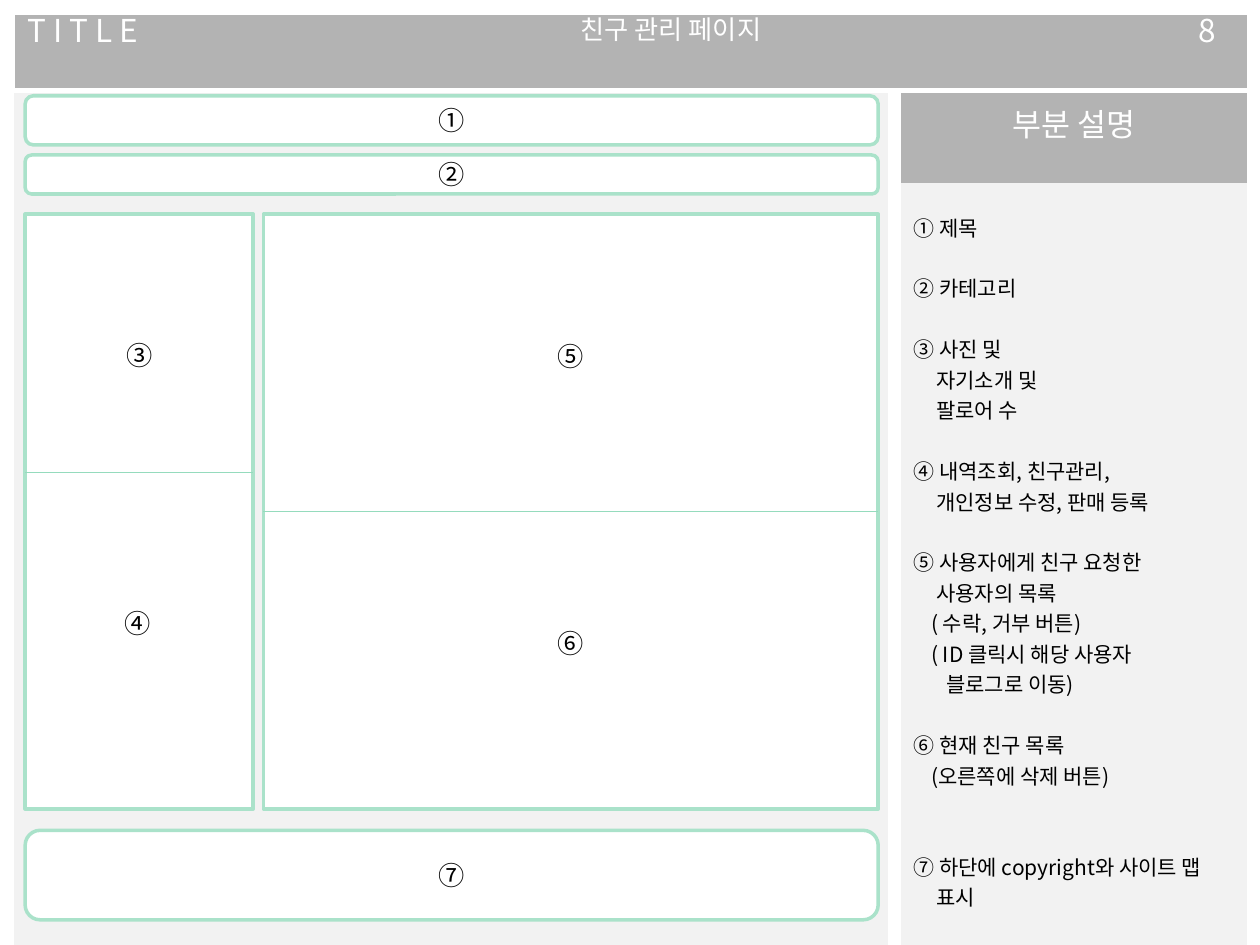
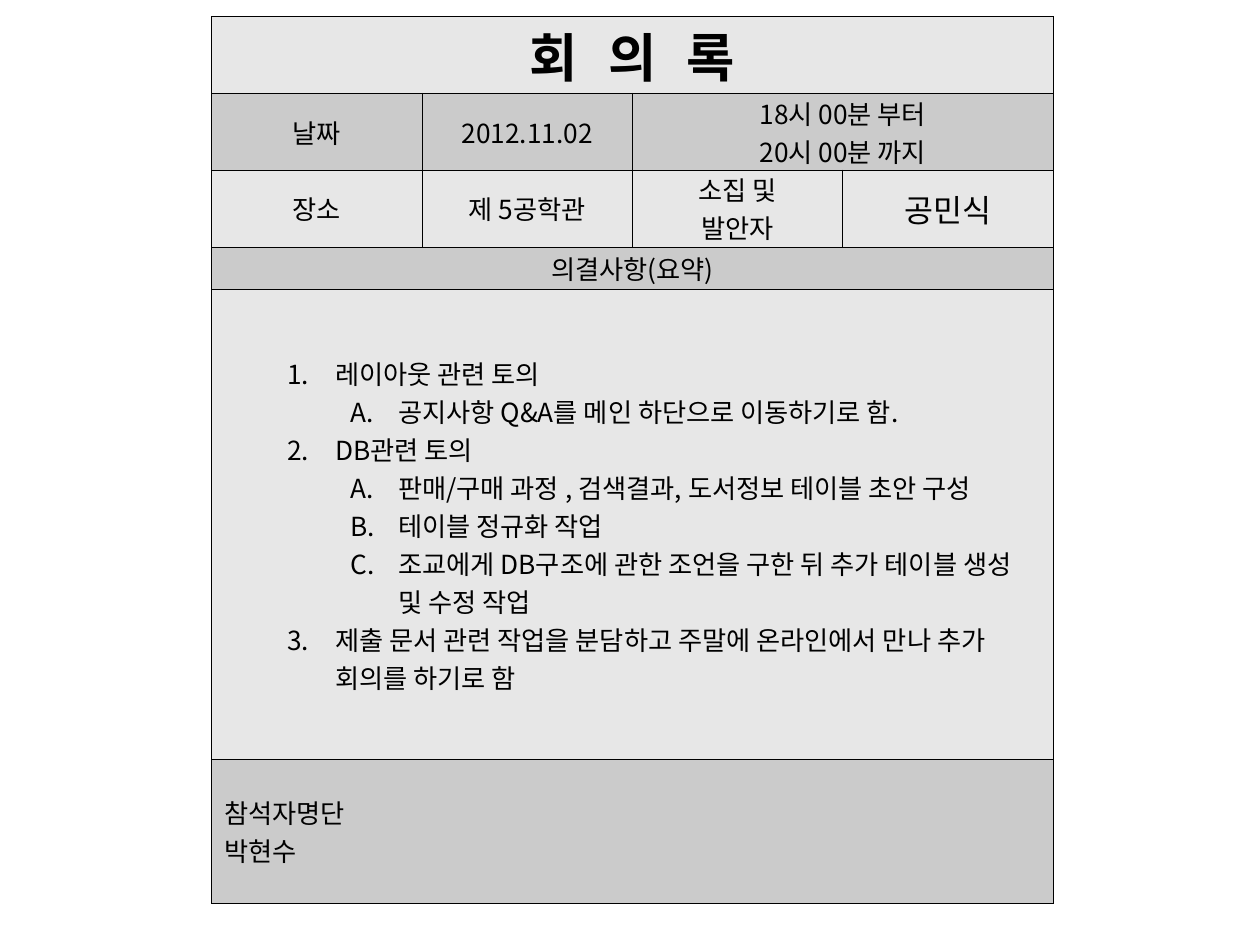
from lxml import etree
from pptx import Presentation
from pptx import util as u
from pptx.dml.color import RGBColor
from pptx.enum import shapes, text
from pptx.oxml import ns

FONT = "Noto Sans CJK KR"
WHITE = RGBColor(255, 255, 255)
BLACK = RGBColor(0, 0, 0)
BAND = RGBColor(0xB3, 0xB3, 0xB3)
PALE = RGBColor(0xF2, 0xF2, 0xF2)
MINT = RGBColor(0xAA, 0xE2, 0xCA)
RULE = RGBColor(0x95, 0xDB, 0xBD)
LIGHT = RGBColor(0xE7, 0xE7, 0xE7)
DARK = RGBColor(0xCB, 0xCB, 0xCB)
LEFT, MID = text.PP_ALIGN.LEFT, text.PP_ALIGN.CENTER


def write(frame, words, size=15, color=BLACK, bold=False, align=MID, lead=None, track=0):
    frame.word_wrap = True
    for i, line in enumerate(words.split("\n")):
        para = frame.paragraphs[0] if i == 0 else frame.add_paragraph()
        para.alignment = align
        if lead:
            para.line_spacing = lead
        run = para.add_run()
        run.text = line
        font = run.font
        font.name, font.size, font.bold = FONT, u.Pt(size), bold
        font.color.rgb = color
        props = run._r.get_or_add_rPr()
        etree.SubElement(props, ns.qn("a:ea")).set("typeface", FONT)
        if track:
            props.set("spc", str(track))


def grid(slide, left, top, cols, rows, fills, edge=None):
    table = slide.shapes.add_table(
        len(rows), len(cols), u.Inches(left), u.Inches(top),
        u.Inches(sum(cols)), u.Inches(sum(rows))).table
    table.first_row = table.horz_banding = False
    for col, wide in zip(table.columns, cols):
        col.width = u.Inches(wide)
    for row, tall, fill in zip(table.rows, rows, fills):
        row.height = u.Inches(tall)
        for cell in row.cells:
            cell.fill.solid()
            cell.fill.fore_color.rgb = fill
            props = cell._tc.get_or_add_tcPr()
            for i, side in enumerate("LRTB"):
                line = etree.Element(ns.qn("a:ln" + side))
                if edge:
                    line.set("w", str(u.Pt(0.45)))
                    paint = etree.SubElement(line, ns.qn("a:solidFill"))
                    etree.SubElement(paint, ns.qn("a:srgbClr")).set("val", str(edge))
                else:
                    etree.SubElement(line, ns.qn("a:noFill"))
                props.insert(i, line)
    return table


deck = Presentation()
deck.slide_width, deck.slide_height = u.Inches(10), u.Inches(7.5)
blank = deck.slide_layouts[6]

page = deck.slides.add_slide(blank)
head = grid(page, 0.12, 0.12, [1.26, 7.89, 0.63], [0.58], [BAND])
for i, (words, size, align) in enumerate([
        ("T I T L E", 18, LEFT), ("친구 관리 페이지", 15, MID), ("8", 18, MID)]):
    write(head.cell(0, i).text_frame, words, size=size, color=WHITE, align=align, lead=0.58)

side = grid(page, 7.15, 0.74, [2.75], [0.71, 6.29], [BAND, PALE])
write(side.cell(0, 0).text_frame, "부분 설명", size=18, color=WHITE)
notes = [
    (0, 0, "① 제목"),
    (1, 0, "② 카테고리"),
    (1, 0, "③ 사진 및"),
    (0, 0.18, "자기소개 및"),
    (0, 0.18, "팔로어 수"),
    (1, 0, "④ 내역조회, 친구관리,"),
    (0, 0.18, "개인정보 수정, 판매 등록"),
    (1, 0, "⑤ 사용자에게 친구 요청한"),
    (0, 0.18, "사용자의 목록"),
    (0, 0.14, "( 수락, 거부 버튼)"),
    (0, 0.14, "( ID 클릭시 해당 사용자"),
    (0, 0.26, "블로그로 이동)"),
    (1, 0, "⑥ 현재 친구 목록"),
    (0, 0.14, "(오른쪽에 삭제 버튼)"),
    (2, 0, "⑦ 하단에 copyright와 사이트 맵"),
    (0, 0.18, "표시"),
]
cell = side.cell(1, 0)
cell.margin_top = u.Inches(0.23)
write(cell.text_frame, "\n".join(note[2] for note in notes), size=12, align=LEFT)
for para, (gap, dent, _) in zip(cell.text_frame.paragraphs, notes):
    para.space_before = u.Pt(17.4 * gap)
    para._p.get_or_add_pPr().set("marL", str(u.Inches(dent)))

grid(page, 0.11, 0.74, [6.94], [6.79], [PALE])
ROUND, RECT = shapes.MSO_SHAPE.ROUNDED_RECTANGLE, shapes.MSO_SHAPE.RECTANGLE
for kind, left, top, wide, tall, mark in [
        (ROUND, 0.2, 0.76, 6.77, 0.39, "①"),
        (ROUND, 0.2, 1.23, 6.77, 0.31, "②"),
        (ROUND, 0.2, 6.59, 6.77, 0.71, "⑦"),
        (RECT, 0.2, 1.7, 1.81, 4.72, "③"),
        (RECT, 2.09, 1.7, 4.88, 4.72, "")]:
    box = page.shapes.add_shape(
        kind, u.Inches(left), u.Inches(top), u.Inches(wide), u.Inches(tall))
    box.shadow.inherit = False
    box.fill.solid()
    box.fill.fore_color.rgb = WHITE
    box.line.color.rgb = MINT
    box.line.width = u.Pt(2)
    if mark:
        write(box.text_frame, mark)
        box.text_frame.vertical_anchor = text.MSO_ANCHOR.MIDDLE
    if mark == "③":
        box.text_frame.vertical_anchor = text.MSO_ANCHOR.TOP
        box.text_frame.margin_top = u.Inches(0.99)

for left, right, y in [(0.2, 2.01, 3.75), (2.09, 6.97, 4.06)]:
    rule = page.shapes.add_connector(
        shapes.MSO_CONNECTOR.STRAIGHT,
        u.Inches(left), u.Inches(y), u.Inches(right), u.Inches(y))
    rule.line.color.rgb = RULE
    rule.line.width = u.Pt(1)
    etree.SubElement(rule._element.spPr, ns.qn("a:effectLst"))
rule.begin_connect(box, 1)
rule.end_connect(box, 3)

for mark, left, top, wide in [
        ("④", 0.74, 4.77, 0.71), ("⑤", 4.1, 2.65, 0.86), ("⑥", 4.1, 4.93, 0.86)]:
    label = page.shapes.add_textbox(
        u.Inches(left), u.Inches(top), u.Inches(wide), u.Inches(0.35))
    write(label.text_frame, mark)

page = deck.slides.add_slide(blank)
log = grid(page, 1.68, 0.13, [1.67] * 4, [0.61, 0.61, 0.61, 0.34, 3.73, 1.14],
           [LIGHT, DARK] * 3, edge=BLACK)
for row, first in [(0, 0), (1, 2), (3, 0), (4, 0), (5, 0)]:
    log.cell(row, first).merge(log.cell(row, 3))
for row in range(6):
    for col in range(4):
        cell = log.cell(row, col)
        cell.vertical_anchor = text.MSO_ANCHOR.MIDDLE
        if row < 4:
            cell.margin_top = cell.margin_bottom = 0

write(log.cell(0, 0).text_frame, "회 의 록", size=30, bold=True, track=520)
for row, col, words, size in [
        (1, 0, "날짜", 15), (1, 1, "2012.11.02", 15),
        (1, 2, "18시 00분 부터\n20시 00분 까지", 15),
        (2, 0, "장소", 15), (2, 1, "제 5공학관", 15),
        (2, 2, "소집 및\n발안자", 15), (2, 3, "공민식", 18),
        (3, 0, "의결사항(요약)", 15)]:
    write(log.cell(row, col).text_frame, words, size=size)

points = [
    (1, "레이아웃 관련 토의"),
    (2, "공지사항 Q&A를 메인 하단으로 이동하기로 함."),
    (1, "DB관련 토의"),
    (2, "판매/구매 과정 , 검색결과, 도서정보 테이블 초안 구성"),
    (2, "테이블 정규화 작업"),
    (2, "조교에게 DB구조에 관한 조언을 구한 뒤 추가 테이블 생성 및 수정 작업"),
    (1, "제출 문서 관련 작업을 분담하고 주말에 온라인에서 만나 추가 회의를 하기로 함"),
]
body = log.cell(4, 0).text_frame
write(body, "\n".join(point[1] for point in points), align=LEFT)
for para, (level, _) in zip(body.paragraphs, points):
    para.level = level
    props = para._p.get_or_add_pPr()
    props.set("marL", str(u.Inches(0.38 + 0.5 * level)))
    props.set("indent", str(u.Inches(-0.38)))
    etree.SubElement(props, ns.qn("a:buFont")).set("typeface", FONT)
    style = "arabicPeriod" if level == 1 else "alphaUcPeriod"
    etree.SubElement(props, ns.qn("a:buAutoNum")).set("type", style)
write(log.cell(5, 0).text_frame, "참석자명단\n박현수", align=LEFT)

deck.save("out.pptx")
